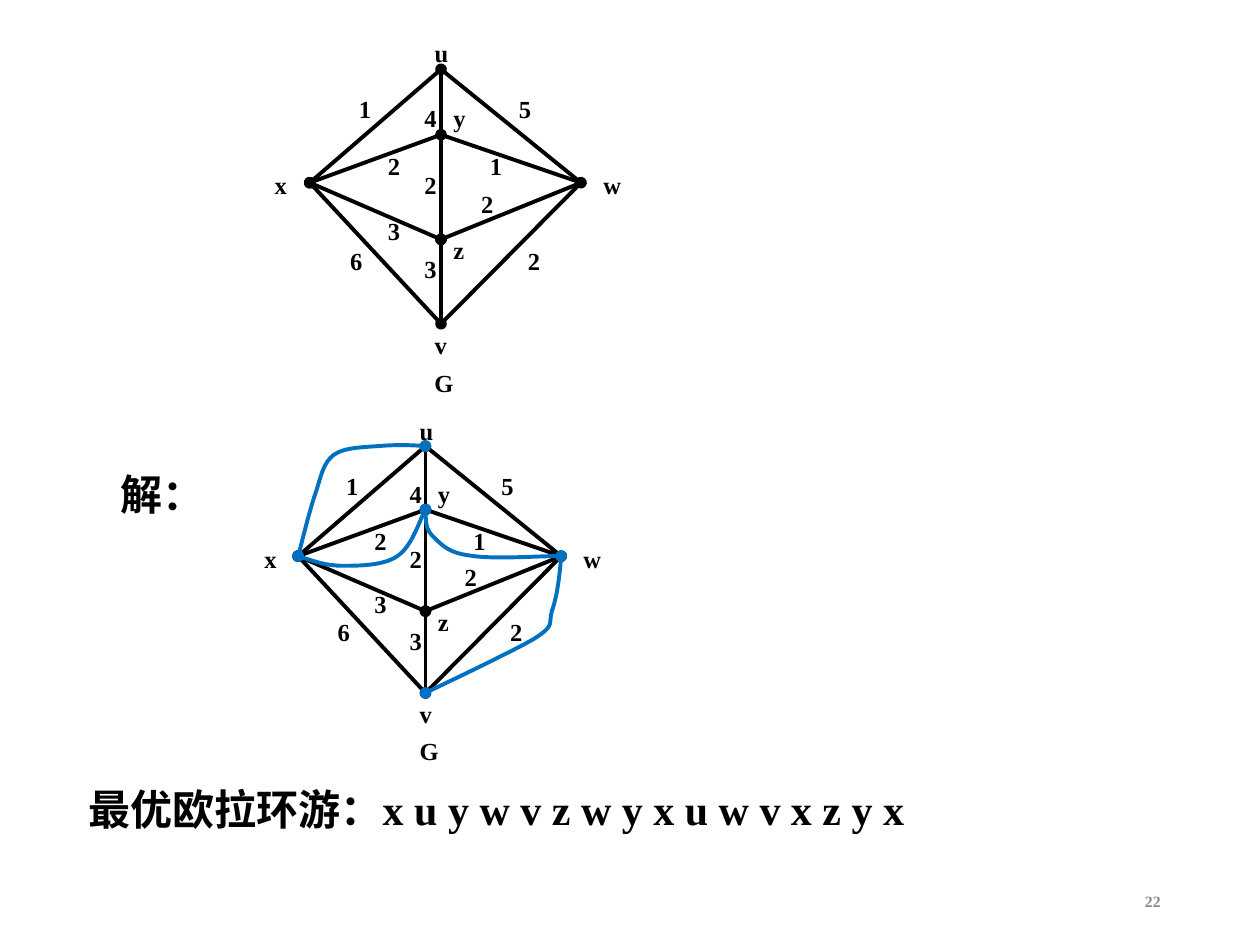
from lxml import etree
from pptx import Presentation
from pptx import util as u
from pptx.dml import color
from pptx.enum import shapes, text
from pptx.oxml.ns import qn

Pt = u.Pt
rgb = color.RGBColor.from_string


def write(pool, words, x, y, w, h, size, tint="000000"):
    box = pool.add_textbox(Pt(x), Pt(y), Pt(w), Pt(h))
    box.text_frame.word_wrap = True
    par = box.text_frame.paragraphs[0]
    par.text = words
    par.font.name, par.font.size, par.font.bold = "Times New Roman", Pt(size), True
    par.font.color.rgb = rgb(tint)
    return box


def stroke(shape, tint, dots):
    """Style a line; dots puts a round node at both ends."""
    shape.line.color.rgb = rgb(tint)
    shape.line.width = Pt(2.25)
    if dots:
        for end in ("a:headEnd", "a:tailEnd"):
            etree.SubElement(shape.line._get_or_add_ln(), qn(end), type="oval")
    props = shape._element.spPr
    etree.SubElement(props, qn("a:effectLst"))


prs = Presentation()
prs.slide_width, prs.slide_height = Pt(720), Pt(540)
slide = prs.slides.add_slide(prs.slide_layouts[6])

# Graph data: nodes, edges (with or without node dots), labels
nodes = {"u": (252, 39.6), "y": (252, 77), "z": (252, 136.8),
         "v": (252, 185), "x": (177, 104.4), "w": (332, 104.4)}
edges = ["xz", "ux", "uy", "xy", "yz", "zv", "xv", "uw", "yw", "wz", "wv"]
dotted = {"ux", "yz", "xv", "wz"}
labels = [
    ("y", 252, 55.4), ("2", 294.5, 136.8), ("2", 267.8, 104.4),
    ("2", 235.4, 93.6), ("2", 214.6, 82.8), ("1", 272.9, 82.8),
    ("1", 198, 50.4), ("u", 241.2, 18), ("4", 235.4, 55.4),
    ("3", 214.6, 120.2), ("3", 235.4, 141.8), ("6", 193, 136.8),
    ("5", 289.4, 50.4), ("w", 337.7, 93.6), ("x", 149.8, 93.6),
    ("v", 241.2, 185), ("G", 241.2, 206.6), ("z", 252, 131),
]

# The graph twice: as given, then slightly smaller below
for left, top, k in [(149.8, 18, 1), (144, 234, 0.97)]:
    group = slide.shapes.add_group_shape().shapes
    spot = {n: (left + (x - 149.8) * k, top + (y - 18) * k)
            for n, (x, y) in nodes.items()}
    for edge in edges:
        ends = [Pt(c) for n in edge for c in spot[n]]
        line = group.add_connector(shapes.MSO_CONNECTOR.STRAIGHT, *ends)
        stroke(line, "000000", edge in dotted)
    for name, x, y in labels:
        wide = 26.6 if name == "G" else 22.3
        write(group, name, left + (x - 149.8) * k, top + (y - 18) * k,
              wide * k, 24.5, 14)

# Doubled edges in the lower graph: start node, then Bezier points
curves = [
    ("u", [(234, 254.2), (225.4, 254.2), (216.7, 254.9),
           (208.1, 255.6), (196.6, 255.6), (190.8, 259.9),
           (185, 264.2), (183.6, 271.4), (180.7, 280.8),
           (177.1, 290.9), (172.1, 311.8), spot["x"]]),
    ("x", [(178.6, 320.4), (186.5, 323.3), (195.8, 323.3),
           (205.2, 323.3), (219.6, 323.3), (227.5, 317.5),
           (234.7, 312.5), (240.5, 295.9), spot["y"]]),
    ("y", [(243.4, 297.4), (243.4, 303.1), (248.4, 307.4),
           (252.7, 311.8), (257, 316.1), (268.6, 317.5),
           (280.8, 319.7), (312.5, 317.5), spot["w"]]),
    ("w", [(319.7, 329.8), (318.2, 341.3), (315.4, 349.2),
           (313.2, 357.1), (317.5, 357.1), (305.3, 365),
           (293, 372.2), (253.4, 391), spot["v"]]),
]
for start, points in curves:
    x, y = spot[start]
    pen = group.build_freeform(Pt(x), Pt(y))
    pen.add_line_segments([(Pt(a), Pt(b)) for a, b in points], close=False)
    arc = pen.convert_to_shape()
    arc.fill.background()
    stroke(arc, "0070C0", True)
    # Turn each three straight segments into one cubic curve
    track = arc._element.find(".//" + qn("a:path"))
    legs = track.findall(qn("a:lnTo"))
    for i in range(0, len(legs), 3):
        cubic = etree.SubElement(track, qn("a:cubicBezTo"))
        for leg in legs[i:i + 3]:
            cubic.append(leg[0])
            track.remove(leg)

# Answer lines
for words, x, y in [("解：", 30.2, 264.2),
                    ("最优欧拉环游：x u y w v z w y x u w v x z y x", 12.2, 444.2)]:
    box = write(slide.shapes, words, x, y, 624, 36, 24)
    box.text_frame.margin_left = Pt(38.5)

# Page number
page = write(slide.shapes, "22", 508.3, 500.4, 162, 28.8, 9, "898989")
page.text_frame.vertical_anchor = text.MSO_ANCHOR.MIDDLE
page.text_frame.paragraphs[0].alignment = text.PP_ALIGN.RIGHT

prs.save("out.pptx")
